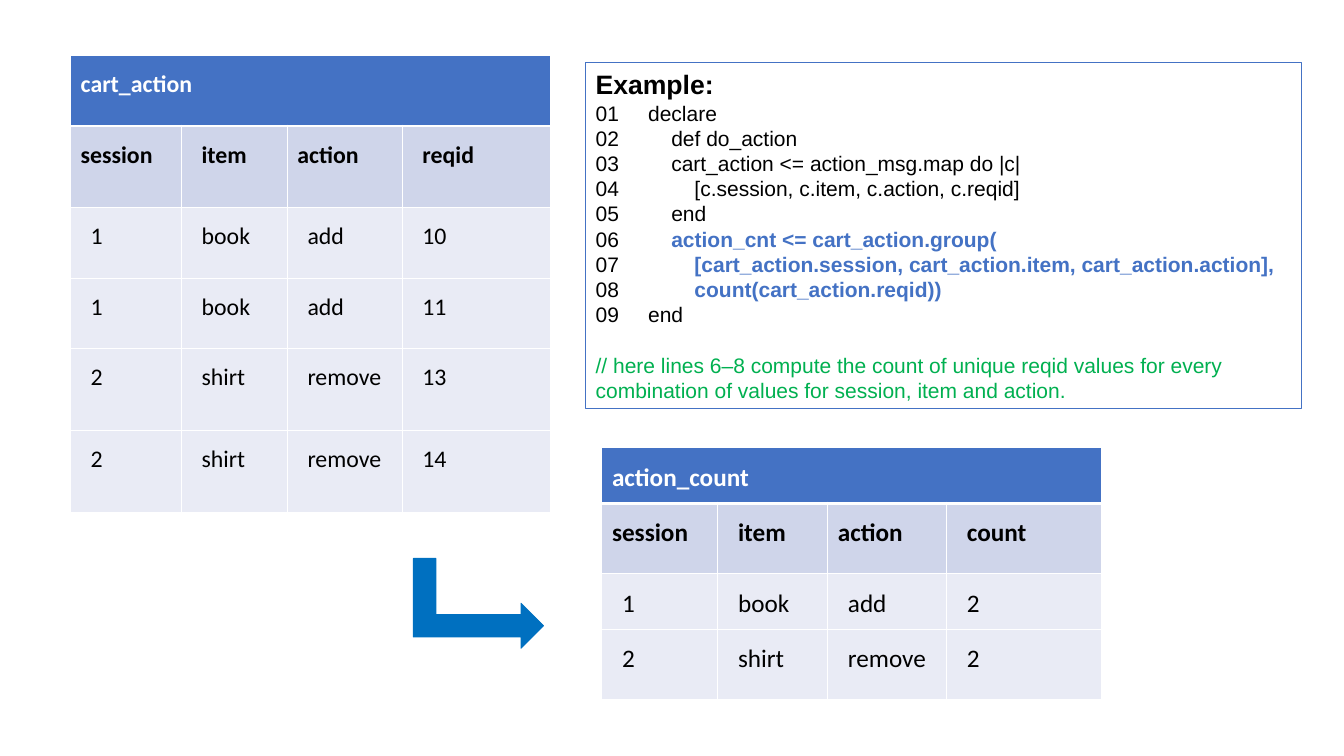
from lxml import etree
from pptx import Presentation
from pptx.dml.color import RGBColor
from pptx.enum.shapes import MSO_SHAPE
from pptx.enum.text import MSO_ANCHOR, PP_ALIGN
from pptx.oxml.ns import qn
from pptx.util import Inches, Pt

RECTANGLE = MSO_SHAPE.RECTANGLE
BENT_ARROW = MSO_SHAPE.BENT_UP_ARROW
LEFT = PP_ALIGN.LEFT
MIDDLE = MSO_ANCHOR.MIDDLE
COLORS = {
    "white": "FFFFFF", "black": "000000", "blue": "4472C4", "header": "CFD5EA",
    "body": "E9EBF5", "arrow": "0070C0", "green": "00B050",
}
CODE_START, CODE_STEP = 0.52, 0.23
CODE = [
    (0, "declare", False),
    (1, "def do_action", False),
    (1, "cart_action <= action_msg.map do |c|", False),
    (2, "[c.session, c.item, c.action, c.reqid]", False),
    (1, "end", False),
    (1, "action_cnt <= cart_action.group(", True),
    (2, "[cart_action.session, cart_action.item, cart_action.action],", True),
    (2, "count(cart_action.reqid))", True),
    (0, "end", False),
]
COMMENT = ("// here lines 6–8 compute the count of unique reqid values for every "
           "combination of values for session, item and action.")
CART_ROWS = [
    ["session", "item", "action", "reqid"],
    ["1", "book", "add", "10"],
    ["1", "book", "add", "11"],
    ["2", "shirt", "remove", "13"],
    ["2", "shirt", "remove", "14"],
]
COUNT_ROWS = [
    ["session", "item", "action", "count"],
    ["1", "book", "add", "2"],
    ["2", "shirt", "remove", "2"],
]


def rgb(name):
    """Return the named colour."""
    return RGBColor.from_string(COLORS[name])


def format_run(run, font_name, size, color, bold=False):
    """Set the font of a run."""
    run.font.name = font_name
    run.font.size = Pt(size)
    run.font.bold = bold
    run.font.color.rgb = rgb(color)


def add_borders(cell, top, bottom):
    """Draw white borders around a table cell."""
    properties = cell._tc.get_or_add_tcPr()
    for side, width in (("L", 0.75), ("R", 0.75), ("T", top), ("B", bottom)):
        line = etree.SubElement(properties, qn(f"a:ln{side}"), w=str(Pt(width)))
        fill = etree.SubElement(line, qn("a:solidFill"))
        etree.SubElement(fill, qn("a:srgbClr"), val=COLORS["white"])


def fill_cell(cell, text, size, row_index):
    """Write and format one table cell according to its row."""
    fill, color = [("blue", "white"), ("header", "black"), ("body", "black")][min(row_index, 2)]
    add_borders(cell, 2.29 if row_index == 1 else 0.75, 2.29 if row_index == 0 else 0.75)
    cell.fill.solid()
    cell.fill.fore_color.rgb = rgb(fill)
    cell.margin_left = cell.margin_right = Inches(0.1)
    cell.margin_top = cell.margin_bottom = Inches(0.1)
    if not text:
        return
    paragraph = cell.text_frame.paragraphs[0]
    paragraph.text = text
    paragraph.line_spacing = 1.15
    if row_index > 1 or text in ("item", "reqid", "count"):
        paragraph._p.get_or_add_pPr().set("marL", str(Inches(0.1)))
    format_run(paragraph.runs[0], "Calibri", size, color, row_index < 2)


def add_data_table(slide, left, top, widths, heights, title, rows, size):
    """Add a table with a merged title row."""
    frame = slide.shapes.add_table(
        len(heights), len(widths), Inches(left), Inches(top),
        Inches(sum(widths)), Inches(sum(heights)))
    table = frame.table
    for column, width in zip(table.columns, widths):
        column.width = Inches(width)
    for row, height in zip(table.rows, heights):
        row.height = Inches(height)
    table.cell(0, 0).merge(table.cell(0, len(widths) - 1))
    title_row = [title] + [""] * (len(widths) - 1)
    for row_index, values in enumerate([title_row] + rows):
        for column_index, text in enumerate(values):
            fill_cell(table.cell(row_index, column_index), text, size, row_index)


def add_outlined_shape(slide, kind, left, top, width, height, line):
    """Add a preset shape with a thin outline and no shadow."""
    shape = slide.shapes.add_shape(
        kind, Inches(left), Inches(top), Inches(width), Inches(height))
    shape.shadow.inherit = False
    shape.line.color.rgb = rgb(line)
    shape.line.width = Pt(0.75)
    return shape


def add_code_line(text_frame, number, level, code, highlighted):
    """Add a numbered code line, indented with a tab stop."""
    paragraph = text_frame.add_paragraph()
    paragraph.alignment = LEFT
    tabs = etree.SubElement(paragraph._p.get_or_add_pPr(), qn("a:tabLst"))
    position = Inches(CODE_START + CODE_STEP * level)
    etree.SubElement(tabs, qn("a:tab"), pos=str(position), algn="l")
    for text, marked in ((f"{number:02d}\t", False), (code, highlighted)):
        run = paragraph.add_run()
        run.text = text
        format_run(run, "Arial", 15, "blue" if marked else "black", marked)


def add_example(slide):
    """Add the framed code example with its explanation."""
    box = add_outlined_shape(slide, RECTANGLE, 5.81, 0.62, 7.1, 3.43, "blue")
    box.fill.background()
    text_frame = box.text_frame
    text_frame.word_wrap = True
    text_frame.vertical_anchor = MIDDLE
    heading = text_frame.paragraphs[0]
    heading.text = "Example:"
    heading.alignment = LEFT
    format_run(heading.runs[0], "Arial", 19, "black", True)
    for number, (level, code, highlighted) in enumerate(CODE, 1):
        add_code_line(text_frame, number, level, code, highlighted)
    comment = text_frame.add_paragraph()
    comment.text = COMMENT
    comment.alignment = LEFT
    comment.space_before = Pt(18)
    format_run(comment.runs[0], "Arial", 15, "green")


def add_arrow(slide):
    """Add the bent arrow leading to the result table."""
    arrow = add_outlined_shape(slide, BENT_ARROW, 4.3, 5.34, 0.89, 1.29, "arrow")
    arrow.rotation = 90
    arrow.fill.solid()
    arrow.fill.fore_color.rgb = rgb("arrow")


def main():
    """Build and save the slide."""
    presentation = Presentation()
    presentation.slide_width = Inches(13.33)
    presentation.slide_height = Inches(7.5)
    slide = presentation.slides.add_slide(presentation.slide_layouts[6])
    add_data_table(slide, 0.7, 0.55, [1.1, 1.05, 1.14, 1.47],
                   [0.7, 0.81, 0.7, 0.7, 0.81, 0.81], "cart_action", CART_ROWS, 17)
    add_data_table(slide, 5.97, 4.44, [1.15, 1.09, 1.18, 1.53],
                   [0.5, 0.7, 0.48, 0.7], "action_count", COUNT_ROWS, 18)
    add_arrow(slide)
    add_example(slide)
    presentation.save("out.pptx")


if __name__ == "__main__":
    main()
